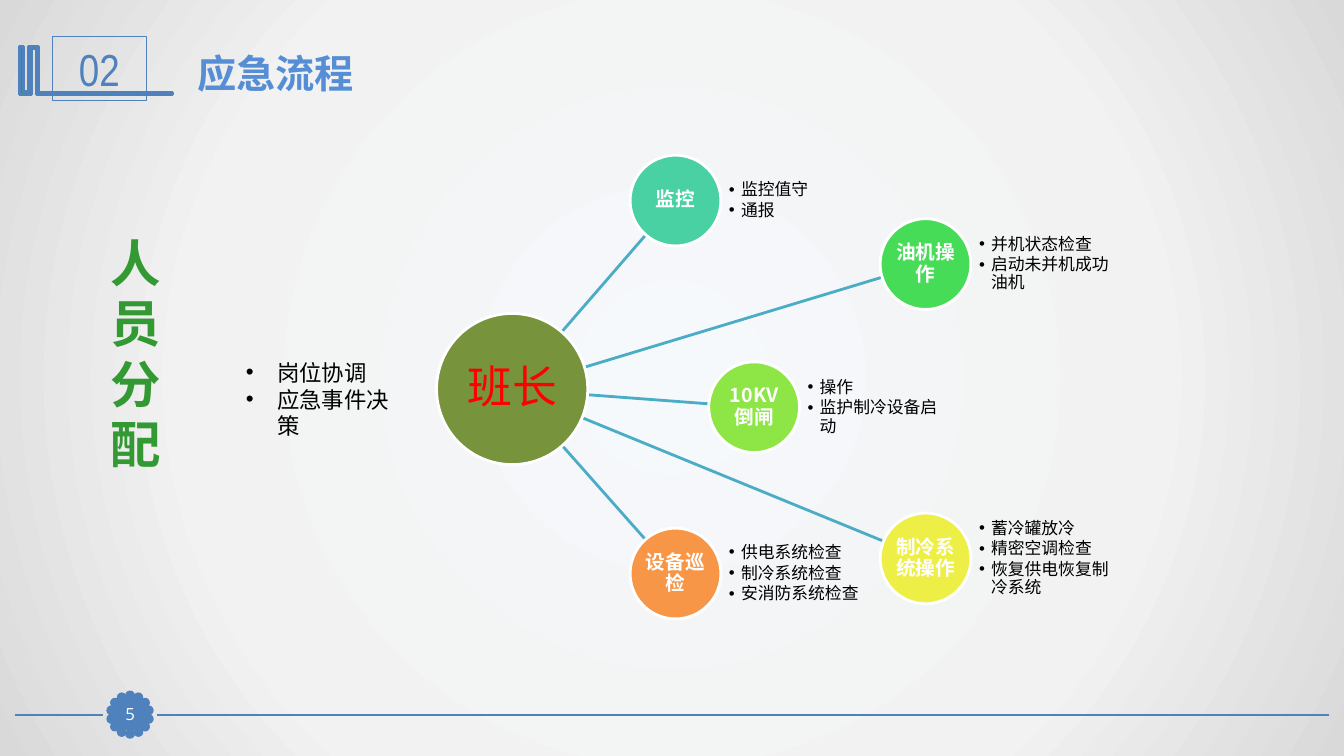
from math import cos, hypot, pi, sin

from lxml import etree
from pptx import Presentation
from pptx.dml.color import RGBColor
from pptx.enum.shapes import MSO_CONNECTOR, MSO_SHAPE
from pptx.enum.text import MSO_ANCHOR, PP_ALIGN
from pptx.oxml import parse_xml
from pptx.oxml.ns import nsdecls, qn
from pptx.util import Inches, Pt

OVAL, RECT = MSO_SHAPE.OVAL, MSO_SHAPE.RECTANGLE
STRAIGHT = MSO_CONNECTOR.STRAIGHT
MIDDLE, TOP = MSO_ANCHOR.MIDDLE, MSO_ANCHOR.TOP
CENTER, LEFT = PP_ALIGN.CENTER, PP_ALIGN.LEFT
CJK, SANS, NARROW = "Noto Sans CJK SC", "Open Sans", "Arial Narrow"
BLUE, TEAL, GREEN, WHITE, BLACK = "4F81BD", "4BACC6", "339933", "FFFFFF", "000000"

# Role, colour, left, top, distance from hub centre to spoke start, duties
ROLES = [
    ("设备巡检", "F79646", 1.92, 3.70, 0.69, ["供电系统检查", "制冷系统检查", "安消防系统检查"]),
    ("制冷系统操作", "EEEF46", 4.40, 3.55, 0.56, ["蓄冷罐放冷", "精密空调检查", "恢复供电恢复制冷系统"]),
    ("10KV倒闸", "8DE646", 2.70, 2.05, 0.52, ["操作", "监护制冷设备启动"]),
    ("油机操作", "47DC57", 4.40, 0.63, 0.54, ["并机状态检查", "启动未并机成功油机"]),
    ("监控", "49D1A3", 1.92, 0.00, 0.70, ["监控值守", "通报"]),
]


def rgb(value):
    """Turn a hex string into a colour."""
    return RGBColor.from_string(value)


def write(sp, lines, size, color, font=CJK, bold=False, align=LEFT, anchor=TOP,
          inset=None, indent=0, leading=None, after=0):
    """Fill a shape with paragraphs; an indent makes them bullets."""
    tf = sp.text_frame
    tf.word_wrap = True
    tf.vertical_anchor = anchor
    if inset is not None:
        tf.margin_left = tf.margin_right = tf.margin_top = tf.margin_bottom = Inches(inset)
    for i, line in enumerate(lines):
        p = tf.add_paragraph() if i else tf.paragraphs[0]
        p.text = line
        p.alignment = align
        p.space_after = Pt(after)
        if leading:
            p.line_spacing = leading
        if indent:
            pPr = p._p.get_or_add_pPr()
            pPr.set("marL", str(Inches(indent)))
            pPr.set("indent", str(-Inches(indent)))
            etree.SubElement(pPr, qn("a:buFont")).set("typeface", "Arial")
            etree.SubElement(pPr, qn("a:buChar")).set("char", "•")
        r = p.runs[0]
        r.font.size, r.font.bold, r.font.name = Pt(size), bold, font
        r.font.color.rgb = rgb(color)
        etree.SubElement(r._r.rPr, qn("a:ea")).set("typeface", CJK)


def add_text(slide, box, lines, size, color, **style):
    """Add a text box."""
    sp = slide.shapes.add_textbox(*map(Inches, box))
    write(sp, lines, size, color, **style)


def paint(sp, fill, line, width):
    """Set fill and outline, and drop the shadow."""
    sp.shadow.inherit = False
    if fill:
        sp.fill.solid()
        sp.fill.fore_color.rgb = rgb(fill)
    else:
        sp.fill.background()
    sp.line.color.rgb = rgb(line)
    sp.line.width = Pt(width)


def add_shape(slide, kind, box, fill, line, width):
    """Add a painted preset shape."""
    sp = slide.shapes.add_shape(kind, *map(Inches, box))
    paint(sp, fill, line, width)
    return sp


def add_line(slide, x1, y1, x2, y2, color, width):
    """Add a straight line."""
    ln = slide.shapes.add_connector(STRAIGHT, *map(Inches, (x1, y1, x2, y2)))
    ln.line.color.rgb = rgb(color)
    ln.line.width = Pt(width)
    etree.SubElement(ln._element.spPr, qn("a:effectLst"))


def add_background(slide):
    """Give the slide a circular gradient."""
    stops = "".join(f'<a:gs pos="{pos}000"><a:srgbClr val="{color}"/></a:gs>'
                    for pos, color in [(0, "F6F9FC"), (63, "F2F2F2"), (100, "D9D9D9")])
    slide.background.fill.solid()
    solid = next(slide._element.iter(qn("a:solidFill")))
    solid.getparent().replace(solid, parse_xml(
        f'<a:gradFill {nsdecls("a")} rotWithShape="1"><a:gsLst>{stops}</a:gsLst>'
        '<a:path path="circle"><a:fillToRect l="50000" t="50000" r="50000" b="50000"/>'
        '</a:path></a:gradFill>'))


def add_footer(slide, x, y, width, number):
    """Draw the rule and the scalloped page badge along height y."""
    cx, ring, dot, petals = x + 1.14, 0.19, 0.07, 14
    add_line(slide, x + width, y, x + 1.41, y, BLUE, 1.25)
    add_line(slide, x + 0.87, y, x, y, BLUE, 1.25)
    for i in range(petals):
        angle = 2 * pi * i / petals
        left = cx + ring * sin(angle) - dot / 2
        top = y - ring * cos(angle) - dot / 2
        add_shape(slide, OVAL, (left, top, dot, dot), BLUE, BLUE, 2)
    badge = add_shape(slide, RECT, (cx - 0.16, y - 0.16, 0.32, 0.31), BLUE, BLUE, 0.75)
    write(badge, [number], 12, WHITE, font=SANS, align=CENTER, anchor=MIDDLE, inset=0)


def add_header(slide, x, y, number, title):
    """Draw the bracket ornament, section number and title."""
    outline = [(0.18, 0.1), (0.19, 0.1), (0.19, 0.56), (1.52, 0.56), (1.52, 0.58),
               (0.17, 0.58), (0.17, 0.12), (0.12, 0.12), (0.12, 0.58), (0, 0.58),
               (0, 0.1), (0.04, 0.1), (0.04, 0.55), (0.09, 0.55), (0.09, 0.1)]
    points = [(Inches(x + dx), Inches(y + dy)) for dx, dy in outline]
    builder = slide.shapes.build_freeform(*points[0])
    builder.add_line_segments(points[1:], close=True)
    paint(builder.convert_to_shape(), GREEN, BLUE, 2)
    frame = add_shape(slide, RECT, (x + 0.33, y, 0.93, 0.64), None, BLUE, 0.75)
    write(frame, [number], 32, BLUE, font=NARROW, align=CENTER, anchor=MIDDLE)
    add_text(slide, (x + 1.67, y + 0.08, 9.69, 0.57), [title], 28, "558ED5",
             font=SANS, bold=True)


def add_radial(slide, x, y):
    """Draw the shift leader hub, its spokes, and each role with its duties."""
    hub, node = 1.5, 0.9
    hx, hy = x + hub / 2, y + 2.32
    for _, _, dx, dy, start, _ in ROLES:
        nx, ny = x + dx + node / 2, y + dy + node / 2
        length = hypot(nx - hx, ny - hy)
        ux, uy = (nx - hx) / length, (ny - hy) / length
        end = length - node / 2
        add_line(slide, hx + start * ux, hy + start * uy,
                 hx + end * ux, hy + end * uy, TEAL, 2)
    add_shape(slide, OVAL, (x, hy - hub / 2, hub, hub), "77933C", WHITE, 2)
    for role, color, dx, dy, _, duties in ROLES:
        left, top = x + dx, y + dy
        sp = add_shape(slide, OVAL, (left, top, node, node), color, WHITE, 2)
        write(sp, [role], 14, WHITE, bold=True, align=CENTER, anchor=MIDDLE,
              inset=0.01, leading=0.9)
        add_text(slide, (left + 0.98, top, 1.35, node), duties, 12, BLACK,
                 anchor=MIDDLE, inset=0, indent=0.12, leading=0.9, after=1.8)
    add_text(slide, (hx - 0.54, hy - 0.35, 1.1, 0.64), ["班长"], 32, "FF0000", font=SANS)


def add_side(slide, x, y):
    """Write the stacked heading and the duties of the shift leader."""
    add_text(slide, (x + 1.34, y + 1.26, 1.81, 0.91), ["岗位协调", "应急事件决策"],
             16, BLACK, indent=0.31)
    add_text(slide, (x, y, 0.78, 2.52), ["人员分配"], 36, GREEN, bold=True)


def main():
    """Build and save the slide."""
    prs = Presentation()
    prs.slide_width, prs.slide_height = Inches(13.33), Inches(7.5)
    slide = prs.slides.add_slide(prs.slide_layouts[6])
    add_background(slide)
    add_footer(slide, 0.15, 7.09, 13.03, "5")
    add_header(slide, 0.19, 0.36, "02", "应急流程")
    add_radial(slide, 4.33, 1.54)
    add_side(slide, 1, 2.25)
    prs.save("out.pptx")


main()
